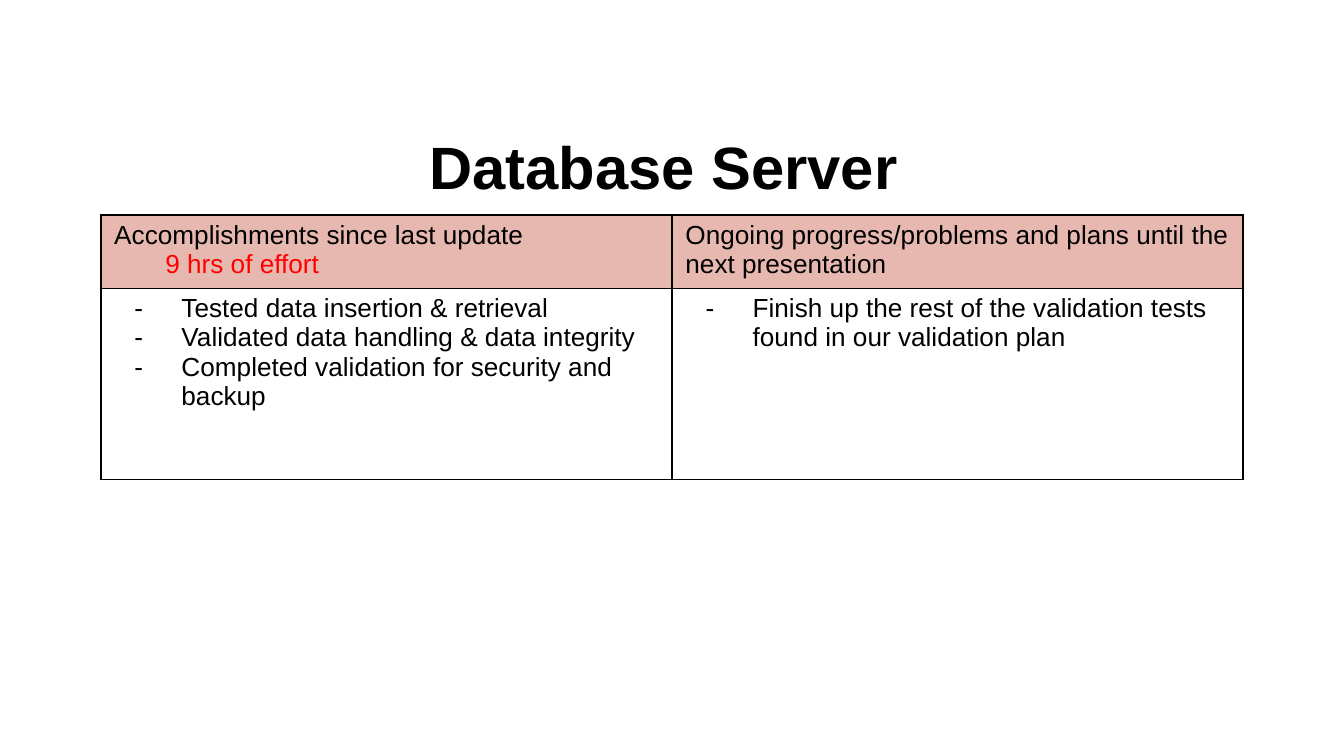
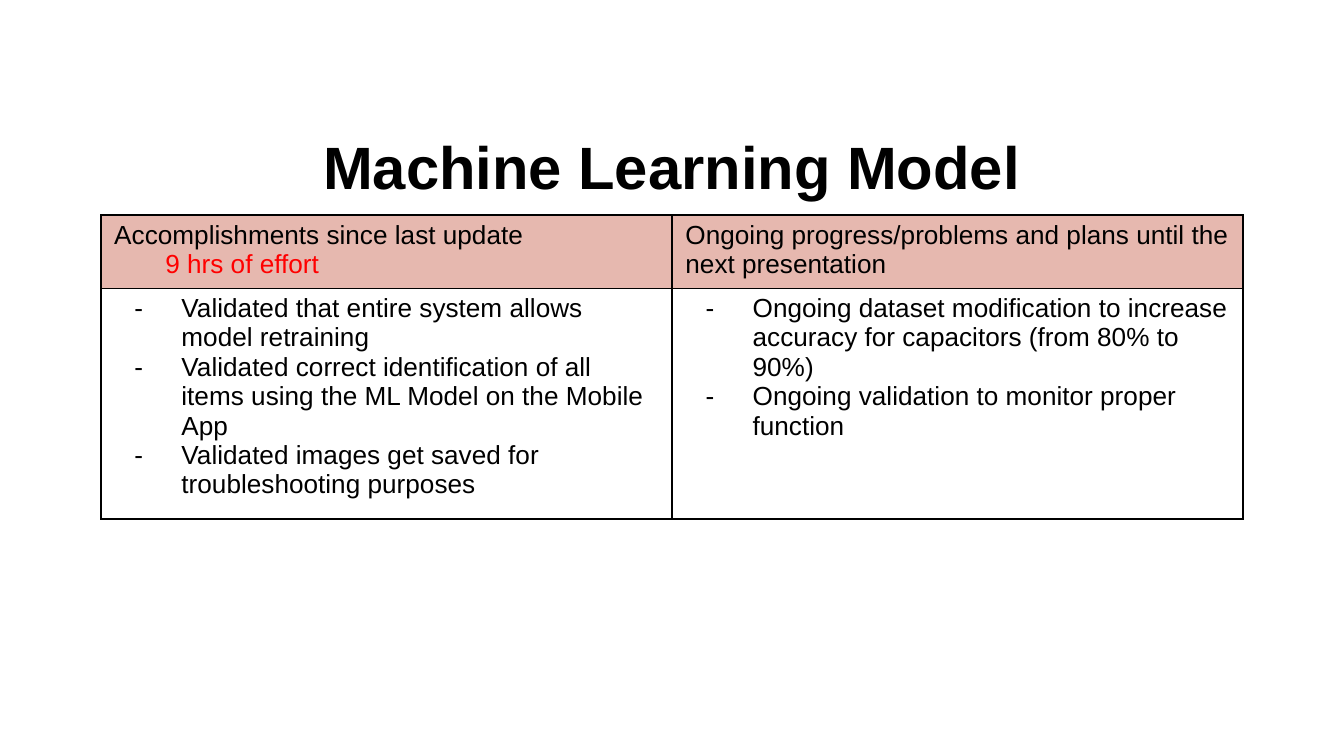
from lxml.etree import SubElement
from pptx import Presentation
from pptx.dml.color import RGBColor
from pptx.enum.text import MSO_ANCHOR, PP_ALIGN
from pptx.oxml.ns import qn
from pptx.util import Inches, Pt

WIDTH = 10
FONT = "Arial"
BLACK = "000000"
RED = "FF0000"
PINK = "E6B8AF"
ROWS = (0.53, 1.42)
EFFORT = "9 hrs of effort"
HEADS = (
    "Accomplishments since last update",
    "Ongoing progress/problems and plans until the next presentation",
)
PAGES = (
    (
        "Database Server ",
        (
            "Tested data insertion & retrieval",
            "Validated data handling & data integrity",
            "Completed validation for security and backup",
        ),
        ("Finish up the rest of the validation tests found in our validation plan",),
    ),
    (
        "Machine Learning Model",
        (
            "Validated that entire system allows model retraining",
            "Validated correct identification of all items using the ML Model on the Mobile App",
            "Validated images get saved for troubleshooting purposes",
        ),
        (
            "Ongoing dataset modification to increase accuracy for capacitors (from 80% to 90%)",
            "Ongoing validation to monitor proper function",
        ),
    ),
)


def paint(code):
    return RGBColor.from_string(code)


def write(frame, text, first=True, size=14, color=BLACK, bold=False,
          align=PP_ALIGN.LEFT, space=None, left=0, hang=0, mark=None):
    para = frame.paragraphs[0] if first else frame.add_paragraph()
    para.alignment = align
    if space:
        para.line_spacing = space
    props = para._p.get_or_add_pPr()
    props.set("marL", str(Inches(left)))
    props.set("indent", str(Inches(-hang)))
    if mark:
        tint = SubElement(props, qn("a:buClr"))
        SubElement(tint, qn("a:srgbClr"), val=color)
        SubElement(props, qn("a:buSzPts"), val=str(size * 100))
        SubElement(props, qn("a:buFont"), typeface=FONT)
        SubElement(props, qn("a:buChar"), char=mark)
    run = para.add_run()
    run.text = text
    run.font.name = FONT
    run.font.size = Pt(size)
    run.font.bold = bold
    run.font.color.rgb = paint(color)
    SubElement(para._p, qn("a:endParaRPr"), sz=str(size * 100))


def add_title(slide, text, left, top, width, height):
    box = slide.shapes.add_textbox(
        Inches(left), Inches(top), Inches(width), Inches(height))
    frame = box.text_frame
    frame.word_wrap = True
    frame.vertical_anchor = MSO_ANCHOR.MIDDLE
    write(frame, text, size=32, bold=True, align=PP_ALIGN.CENTER, space=1.15)


def style_cell(cell, fill=None):
    cell.margin_left = cell.margin_right = Inches(0.1)
    cell.margin_top = cell.margin_bottom = Inches(0.04)
    props = cell._tc.get_or_add_tcPr()
    for side in ("lnL", "lnR", "lnT", "lnB"):
        line = SubElement(props, qn(f"a:{side}"), w=str(Pt(1)))
        solid = SubElement(line, qn("a:solidFill"))
        SubElement(solid, qn("a:srgbClr"), val=BLACK)
    if fill:
        cell.fill.solid()
        cell.fill.fore_color.rgb = paint(fill)
    else:
        cell.fill.background()


def add_grid(slide, lists, left, top, width):
    table = slide.shapes.add_table(
        len(ROWS), len(HEADS), Inches(left), Inches(top),
        Inches(width), Inches(sum(ROWS))).table
    table.first_row = table.horz_banding = False
    for row, tall in zip(table.rows, ROWS):
        row.height = Inches(tall)
    for col, (head, items) in enumerate(zip(HEADS, lists)):
        table.columns[col].width = Inches(width / len(HEADS))
        top_cell, body = table.cell(0, col), table.cell(1, col)
        style_cell(top_cell, PINK)
        style_cell(body)
        write(top_cell.text_frame, head)
        for num, item in enumerate(items):
            write(body.text_frame, item, first=num == 0,
                  left=0.5, hang=0.35, mark="-")
    write(table.cell(0, 0).text_frame, EFFORT, first=False, color=RED, left=0.38)


def add_page(deck, title, *lists):
    slide = deck.slides.add_slide(deck.slide_layouts[6])
    add_title(slide, title, 0.5, 0.86, 9, 0.66)
    add_grid(slide, lists, 0.75, 1.6, 8.5)


def main():
    deck = Presentation()
    deck.slide_width = Inches(WIDTH)
    deck.slide_height = Inches(WIDTH * 9 / 16)
    for page in PAGES:
        add_page(deck, *page)
    deck.save("out.pptx")


if __name__ == "__main__":
    main()
